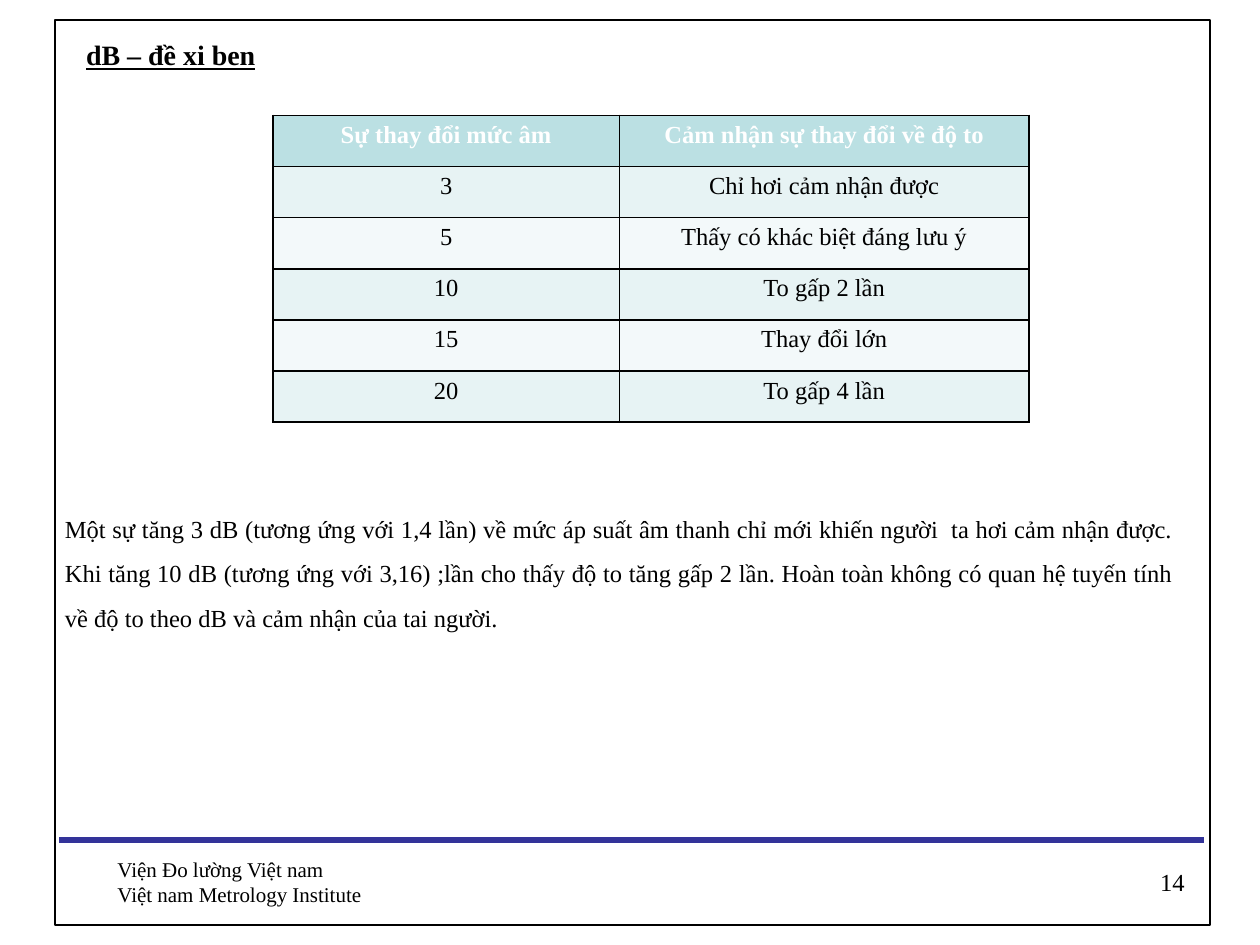
from lxml import etree
from pptx import Presentation
from pptx.dml.color import RGBColor
from pptx.enum.shapes import MSO_CONNECTOR, MSO_SHAPE
from pptx.enum.text import MSO_ANCHOR, PP_ALIGN
from pptx.oxml.ns import qn
from pptx.util import Pt

LEFT, CENTER, RIGHT, JUSTIFY = PP_ALIGN.LEFT, PP_ALIGN.CENTER, PP_ALIGN.RIGHT, PP_ALIGN.JUSTIFY
TOP = MSO_ANCHOR.TOP
FONT = "Times New Roman"
BLACK, WHITE, RULE = "000000", "FFFFFF", "333399"
HEADER_FILL, BAND_FILLS = "BBE0E3", ("E7F3F4", "F3F9FA")

# Content
TITLE = "dB – đề xi ben"
LOUDNESS = [
    ("Sự thay đổi mức âm", "Cảm nhận sự thay đổi về độ to"),
    ("3", "Chỉ hơi cảm nhận được"),
    ("5", "Thấy có khác biệt đáng lưu ý"),
    ("10", "To gấp 2 lần"),
    ("15", "Thay đổi lớn"),
    ("20", "To gấp 4 lần"),
]
EXPLANATION = (
    "Một sự tăng 3 dB (tương ứng với 1,4 lần) về mức áp suất âm thanh chỉ mới khiến "
    "người  ta hơi cảm nhận được. Khi tăng 10 dB (tương ứng với 3,16) ;lần cho thấy "
    "độ to tăng gấp 2 lần. Hoàn toàn không có quan hệ tuyến tính về độ to theo dB và "
    "cảm nhận của tai người."
)
INSTITUTE = "Viện Đo lường Việt nam\nViệt nam Metrology Institute"
PAGE = "14"

# Geometry in points
COLUMN_WIDTHS = (198, 234)
ROW_HEIGHT = 29.2


def color(hex_value):
    return RGBColor.from_string(hex_value)


def write(frame, text, size, align=LEFT, ink=BLACK, bold=False, underline=False):
    frame.text = text
    for paragraph in frame.paragraphs:
        paragraph.alignment = align
        for run in paragraph.runs:
            font = run.font
            font.name, font.size = FONT, Pt(size)
            font.bold, font.underline = bold, underline
            font.color.rgb = color(ink)


def add_text(slide, box, text, size, align=LEFT):
    frame = slide.shapes.add_textbox(*map(Pt, box)).text_frame
    frame.word_wrap = True
    write(frame, text, size, align)
    return frame


def add_borders(cell):
    properties = cell._tc.get_or_add_tcPr()
    for position, side in enumerate(("a:lnL", "a:lnR", "a:lnT", "a:lnB")):
        line = etree.Element(qn(side), w=str(Pt(1)))
        fill = etree.SubElement(line, qn("a:solidFill"))
        etree.SubElement(fill, qn("a:srgbClr"), val=BLACK)
        properties.insert(position, line)


def main():
    prs = Presentation()
    prs.slide_width, prs.slide_height = Pt(720), Pt(540)
    slide = prs.slides.add_slide(prs.slide_layouts[5])
    shapes = slide.shapes

    # Footer rule and page frame
    rule = shapes.add_connector(MSO_CONNECTOR.STRAIGHT, Pt(34), Pt(480), Pt(688), Pt(480))
    rule.line.color.rgb = color(RULE)
    rule.line.width = Pt(3)
    etree.SubElement(rule._element.spPr, qn("a:effectLst"))

    border = shapes.add_shape(MSO_SHAPE.RECTANGLE, Pt(31.5), Pt(11.5), Pt(660), Pt(517))
    border.shadow.inherit = False
    border.fill.background()
    border.line.color.rgb = color(BLACK)
    border.line.width = Pt(0.75)

    # Title
    title = shapes.title
    title.left, title.top, title.width, title.height = Pt(42), Pt(18), Pt(648), Pt(32.4)
    title.text_frame.vertical_anchor = TOP
    write(title.text_frame, TITLE, 16, bold=True, underline=True)

    # Loudness table
    table = shapes.add_table(
        len(LOUDNESS), len(COLUMN_WIDTHS), Pt(156), Pt(66),
        Pt(sum(COLUMN_WIDTHS)), Pt(ROW_HEIGHT * len(LOUDNESS)),
    ).table
    for column, width in zip(table.columns, COLUMN_WIDTHS):
        column.width = Pt(width)
    for r, values in enumerate(LOUDNESS):
        table.rows[r].height = Pt(ROW_HEIGHT)
        header = r == 0
        for c, value in enumerate(values):
            cell = table.cell(r, c)
            cell.vertical_anchor = TOP
            cell.fill.solid()
            cell.fill.fore_color.rgb = color(HEADER_FILL if header else BAND_FILLS[(r - 1) % 2])
            write(cell.text_frame, value, 14, CENTER, WHITE if header else BLACK, bold=header)
            add_borders(cell)

    # Explanation
    explanation = add_text(slide, (30, 282, 648, 150), EXPLANATION, 14, JUSTIFY)
    explanation.paragraphs[0].line_spacing = 1.5

    # Footer
    add_text(slide, (60, 486, 228, 37.5), INSTITUTE, 12)
    add_text(slide, (516, 492, 168, 37.5), PAGE, 14, RIGHT)

    prs.save("out.pptx")


if __name__ == "__main__":
    main()
